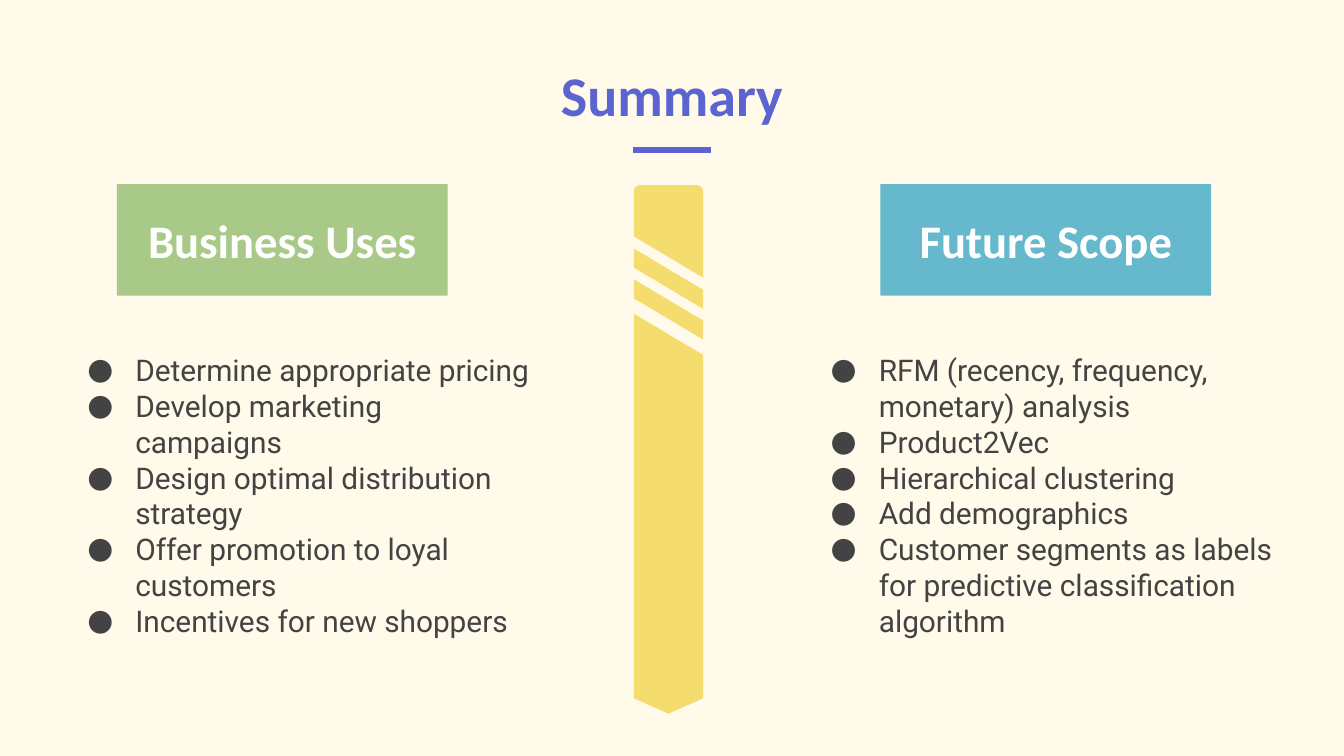
import math

from lxml import etree
from pptx import Presentation
from pptx import util as u
from pptx.dml.color import RGBColor
from pptx.enum import shapes, text
from pptx.oxml.ns import qn

COLORS = {
    "background": "FFFAEA",
    "accent": "5C65CF",
    "pencil": "F5DC6E",
    "green": "A8C987",
    "blue": "66B9CC",
    "body": "434343",
    "white": "FFFFFF",
}

# Left edge of heading, left edge of list, heading, colour, list items
COLUMNS = [
    (2.21, 1.04, "Business Uses", "green", [
        "Determine appropriate pricing",
        "Develop marketing campaigns",
        "Design optimal distribution strategy",
        "Offer promotion to loyal customers",
        "Incentives for new shoppers",
    ]),
    (16.64, 15.09, "Future Scope", "blue", [
        "RFM (recency, frequency, monetary) analysis",
        "Product2Vec",
        "Hierarchical clustering",
        "Add demographics",
        "Customer segments as labels for predictive classification algorithm",
    ]),
]


def rgb(name):
    return RGBColor.from_string(COLORS[name])


def fill_shape(sp, color):
    sp.shadow.inherit = False
    sp.fill.solid()
    sp.fill.fore_color.rgb = rgb(color)
    sp.line.fill.background()


def set_frame(tf, anchor):
    tf.word_wrap = True
    tf.vertical_anchor = anchor
    tf.margin_left = tf.margin_right = u.Cm(0.25)
    tf.margin_top = tf.margin_bottom = u.Cm(0.25)


def format_runs(p, font, size, color, bold=False):
    for r in p.runs:
        r.font.name = font
        r.font.size = u.Pt(size)
        r.font.bold = bold
        r.font.color.rgb = rgb(color)


def set_heading(sp, words, size, color, anchor):
    tf = sp.text_frame
    set_frame(tf, anchor)
    tf.text = words
    p = tf.paragraphs[0]
    p.alignment = text.PP_ALIGN.CENTER
    format_runs(p, "Calibri", size, color, bold=True)


def add_title(s, words):
    sp = s.shapes.add_textbox(u.Cm(2.21), u.Cm(0.56), u.Cm(20.98), u.Cm(2.11))
    set_heading(sp, words, 30, "accent", text.MSO_ANCHOR.BOTTOM)


def add_underline(s):
    line = s.shapes.add_connector(shapes.MSO_CONNECTOR.STRAIGHT,
                                  u.Cm(11.96), u.Cm(2.84), u.Cm(13.44), u.Cm(2.84))
    line.line.color.rgb = rgb("accent")
    line.line.width = u.Pt(3)
    etree.SubElement(line._element.spPr, qn("a:effectLst"))


def add_heading_box(s, left, words, color):
    sp = s.shapes.add_shape(shapes.MSO_SHAPE.RECTANGLE,
                            u.Cm(left), u.Cm(3.48), u.Cm(6.25), u.Cm(2.11))
    fill_shape(sp, color)
    set_heading(sp, words, 25, "white", text.MSO_ANCHOR.MIDDLE)


def add_bullet(p, color):
    pPr = p._p.get_or_add_pPr()
    pPr.set("marL", str(u.Cm(1.27)))
    pPr.set("indent", str(u.Cm(-0.91)))
    clr = etree.SubElement(pPr, qn("a:buClr"))
    etree.SubElement(clr, qn("a:srgbClr"), val=COLORS[color])
    etree.SubElement(pPr, qn("a:buFont"), typeface="Roboto")
    etree.SubElement(pPr, qn("a:buChar"), char="●")


def add_list(s, left, items):
    sp = s.shapes.add_textbox(u.Cm(left), u.Cm(6.4), u.Cm(9.32), u.Cm(6.02))
    tf = sp.text_frame
    set_frame(tf, text.MSO_ANCHOR.TOP)
    tf.text = "\n".join(items)
    for p in tf.paragraphs:
        add_bullet(p, "body")
        format_runs(p, "Roboto", 16, "body")


def add_polygon(s, points):
    start, *rest = [(u.Cm(x), u.Cm(y)) for x, y in points]
    builder = s.shapes.build_freeform(*start)
    builder.add_line_segments(rest, close=True)
    fill_shape(builder.convert_to_shape(), "pencil")


def corner(cx, cy, radius, start):
    """Points of a quarter circle, clockwise from the start angle."""
    angles = [math.radians(start + step) for step in range(0, 91, 15)]
    return [(cx + radius * math.cos(a), cy + radius * math.sin(a)) for a in angles]


def add_pencil(s):
    left, right, top, radius = 11.98, 13.29, 3.5, 0.12
    drop = 0.78  # fall of each slanted edge from left to right

    # Rounded end
    add_polygon(s, [(right, 4.47 + drop), (left, 4.47),
                    *corner(left + radius, top + radius, radius, 180),
                    *corner(right - radius, top + radius, radius, 270)])
    # Slanted bands
    for y in (4.7, 5.28):
        add_polygon(s, [(left, y), (right, y + drop),
                        (right, y + drop + 0.36), (left, y + 0.36)])
    # Body with the pointed tip
    add_polygon(s, [(left, 5.93), (right, 5.93 + drop), (right, 13.2),
                    ((left + right) / 2, 13.49), (left, 13.2)])


def main():
    prs = Presentation()
    prs.slide_width, prs.slide_height = u.Cm(25.4), u.Cm(14.29)
    s = prs.slides.add_slide(prs.slide_layouts[6])
    s.background.fill.solid()
    s.background.fill.fore_color.rgb = rgb("background")

    # Title
    add_underline(s)
    add_title(s, "Summary")

    # Divider between the columns
    add_pencil(s)

    # Columns
    for box_left, list_left, heading, color, items in COLUMNS:
        add_heading_box(s, box_left, heading, color)
        add_list(s, list_left, items)

    prs.save("out.pptx")


if __name__ == "__main__":
    main()
